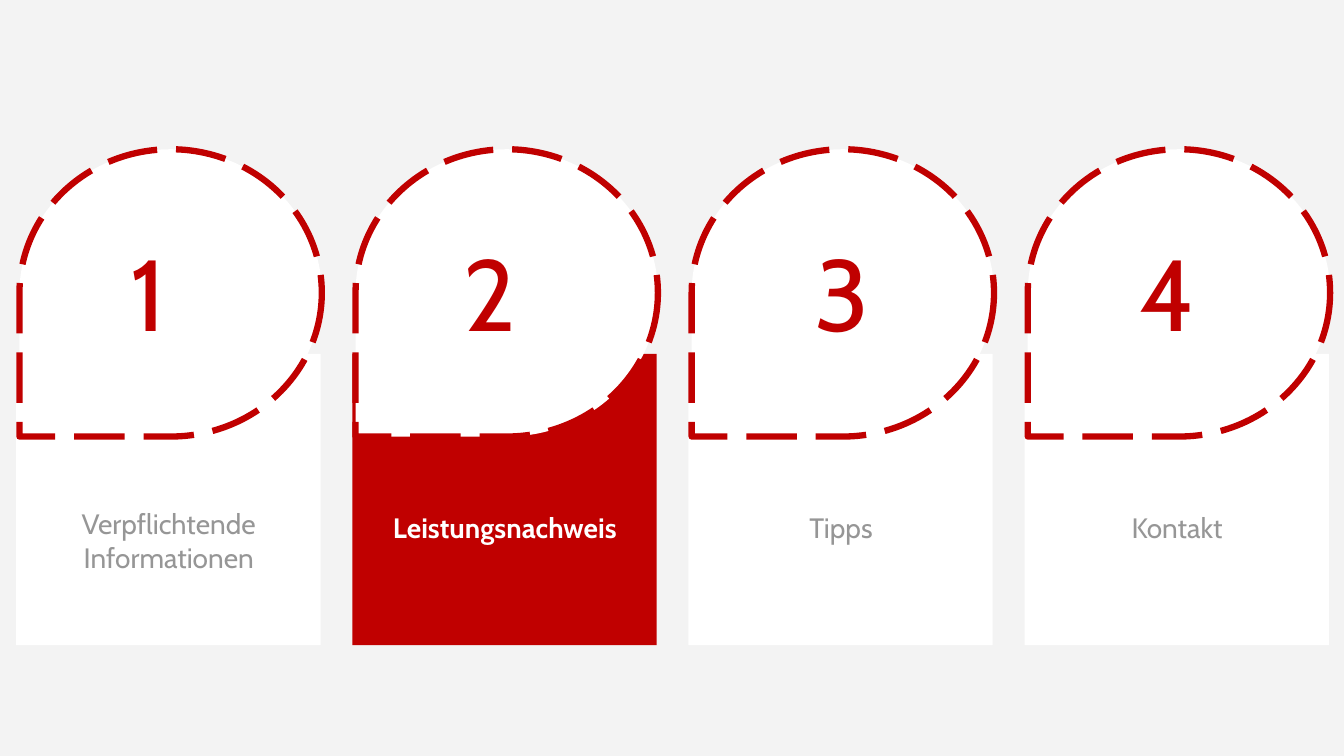
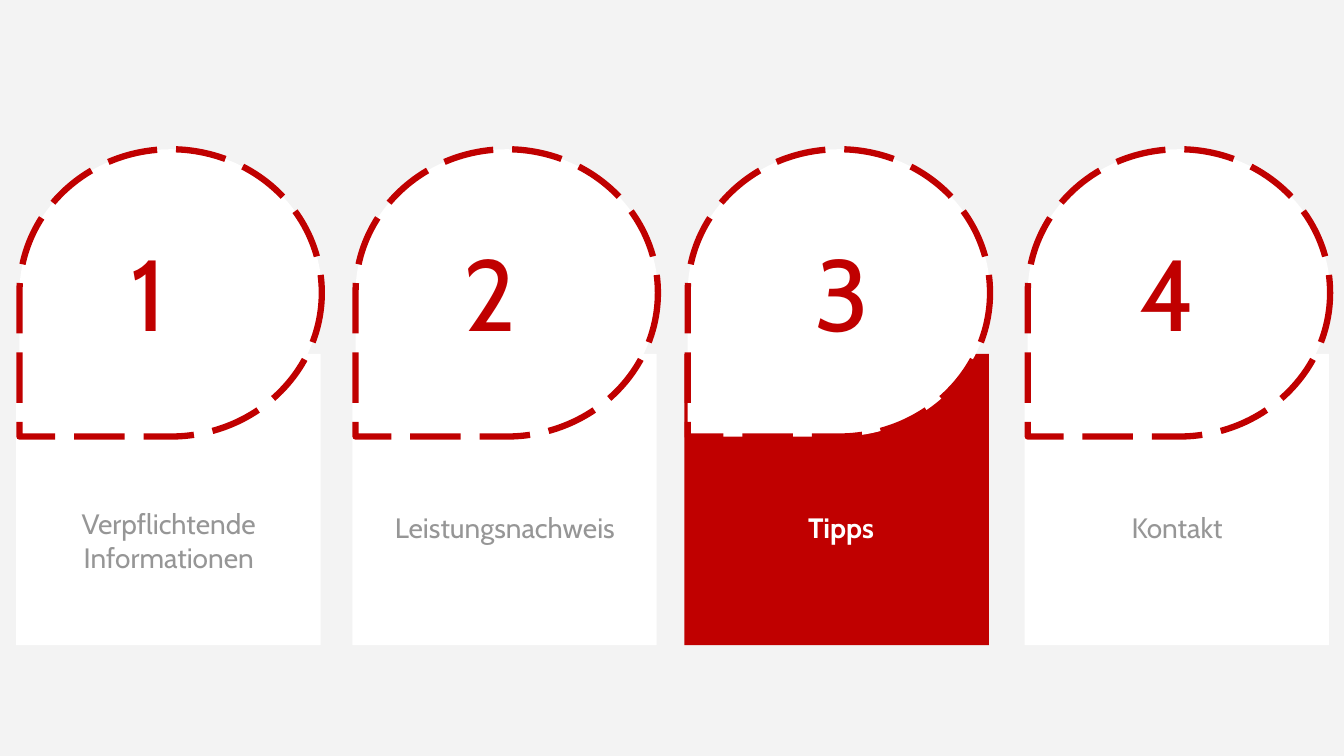
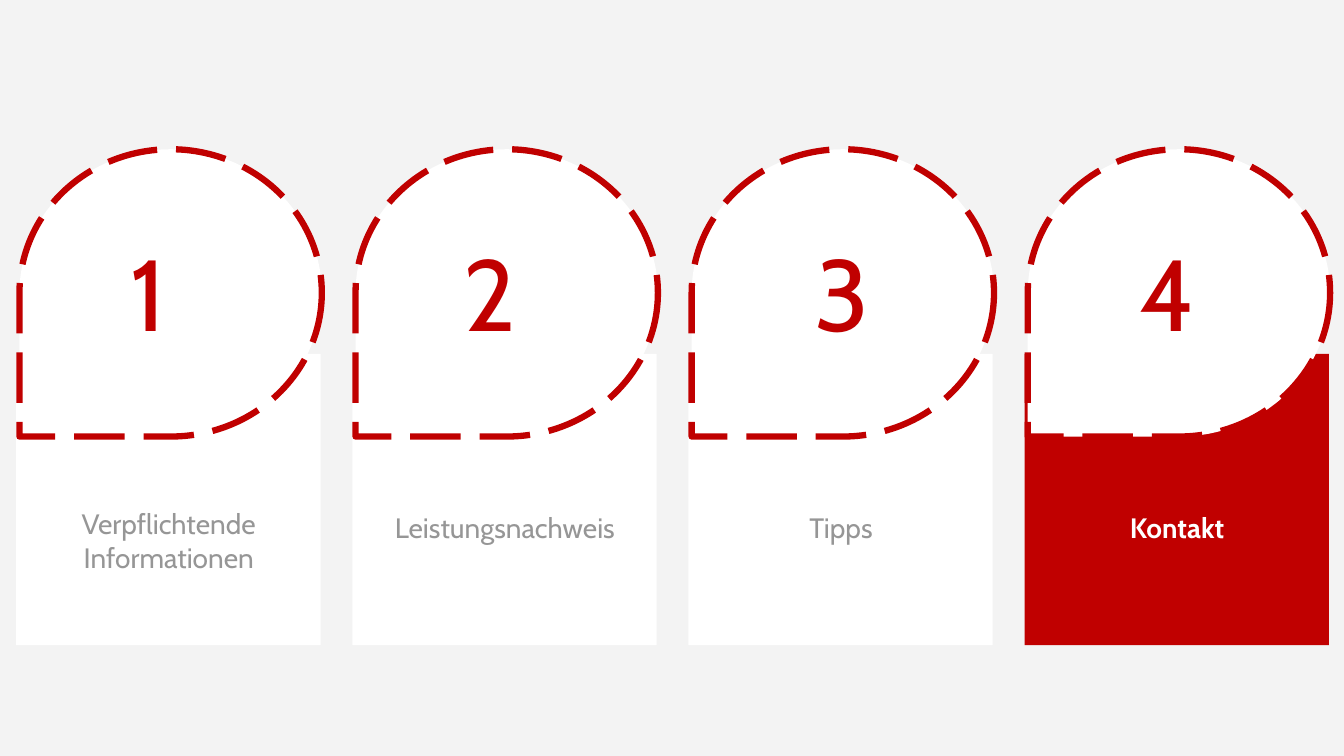
from lxml.etree import SubElement
from pptx import Presentation
from pptx.dml.color import RGBColor
from pptx.enum.dml import MSO_LINE
from pptx.enum.shapes import MSO_SHAPE
from pptx.enum.text import MSO_AUTO_SIZE, PP_ALIGN
from pptx.oxml.ns import qn
from pptx.util import Cm, Pt

RED = RGBColor(0xC0, 0x00, 0x00)
WHITE = RGBColor(0xFF, 0xFF, 0xFF)
GREY = RGBColor(0x96, 0x96, 0x96)
PAGE_GREY = RGBColor(0xF3, 0xF3, 0xF3)
FONT = "Cabin"

PAGE_WIDTH, PAGE_HEIGHT = Cm(33.87), Cm(19.05)
CARD_LEFT, CARD_TOP = Cm(0.41), Cm(8.92)
CARD_WIDTH, CARD_HEIGHT = Cm(7.67), Cm(7.34)
CARD_PITCH = Cm(8.47)

# Section title and the distance of its label from the top of the card
SECTIONS = [
    ("Verpflichtende Informationen", Cm(3.73)),
    ("Leistungsnachweis", Cm(3.83)),
    ("Tipps", Cm(3.83)),
    ("Kontakt", Cm(3.83)),
]
NUMBER_CENTRES = [Cm(3.5), Cm(12.1), Cm(20.98), Cm(29.18)]

# Highlighted section of each slide and the sideways shift of its card
AGENDA_PAGES = [(1, Cm(0)), (2, Cm(-0.1)), (3, Cm(0))]


def add_filled_shape(page, kind, left, top, width, height, colour):
    shape = page.shapes.add_shape(kind, left, top, width, height)
    shape.shadow.inherit = False
    shape.fill.solid()
    shape.fill.fore_color.rgb = colour
    shape.line.fill.background()
    return shape


def add_text(page, left, top, width, height, text, size, colour, bold=False):
    """Add a one-paragraph text box and return its paragraph."""
    box = page.shapes.add_textbox(left, top, width, height)
    frame = box.text_frame
    frame.word_wrap = True
    frame.auto_size = MSO_AUTO_SIZE.SHAPE_TO_FIT_TEXT
    para = frame.paragraphs[0]
    para.text = text
    for span in para.runs:
        span.font.name = FONT
        span.font.size = size
        span.font.bold = bold
        span.font.color.rgb = colour
    return para


def add_card(page, left, top, active):
    """Draw a card with the dashed drop that overlaps its upper edge."""
    add_filled_shape(page, MSO_SHAPE.RECTANGLE, left, top,
                     CARD_WIDTH, CARD_HEIGHT, RED if active else WHITE)
    drop = add_filled_shape(page, MSO_SHAPE.TEAR, left + Cm(0.08), top - Cm(5.16),
                            Cm(7.62), Cm(7.24), WHITE)
    drop.rotation = 180
    drop.line.color.rgb = RED
    drop.line.width = Pt(4.5)
    drop.line.dash_style = MSO_LINE.LONG_DASH


def add_label(page, left, top, title, active):
    para = add_text(page, left - Cm(0.08), top, Cm(7.85), Cm(1.12), title,
                    Pt(20), WHITE if active else GREY, active)
    para.alignment = PP_ALIGN.CENTER


def add_number_row(page, left, top, width):
    """Write the section numbers in one line, centred on tab stops."""
    text = "".join(f"\t{number}" for number in range(1, len(SECTIONS) + 1))
    para = add_text(page, left, top, width, Cm(3.33), text, Pt(72), RED)
    tab_list = SubElement(para._p.get_or_add_pPr(), qn("a:tabLst"))
    for centre in NUMBER_CENTRES:
        SubElement(tab_list, qn("a:tab"), pos=str(int(centre)), algn="ctr")


def add_agenda_page(deck, active_index, shift):
    page = deck.slides.add_slide(deck.slide_layouts[6])
    page.background.fill.solid()
    page.background.fill.fore_color.rgb = PAGE_GREY
    for index, (title, label_offset) in enumerate(SECTIONS):
        active = index == active_index
        left = CARD_LEFT + index * CARD_PITCH
        add_card(page, left + shift if active else left, CARD_TOP, active)
        add_label(page, left, CARD_TOP + label_offset, title, active)
    add_number_row(page, Cm(0), Cm(5.69), PAGE_WIDTH)


def main():
    deck = Presentation()
    deck.slide_width, deck.slide_height = PAGE_WIDTH, PAGE_HEIGHT
    for active_index, shift in AGENDA_PAGES:
        add_agenda_page(deck, active_index, shift)
    deck.save("out.pptx")


if __name__ == "__main__":
    main()
